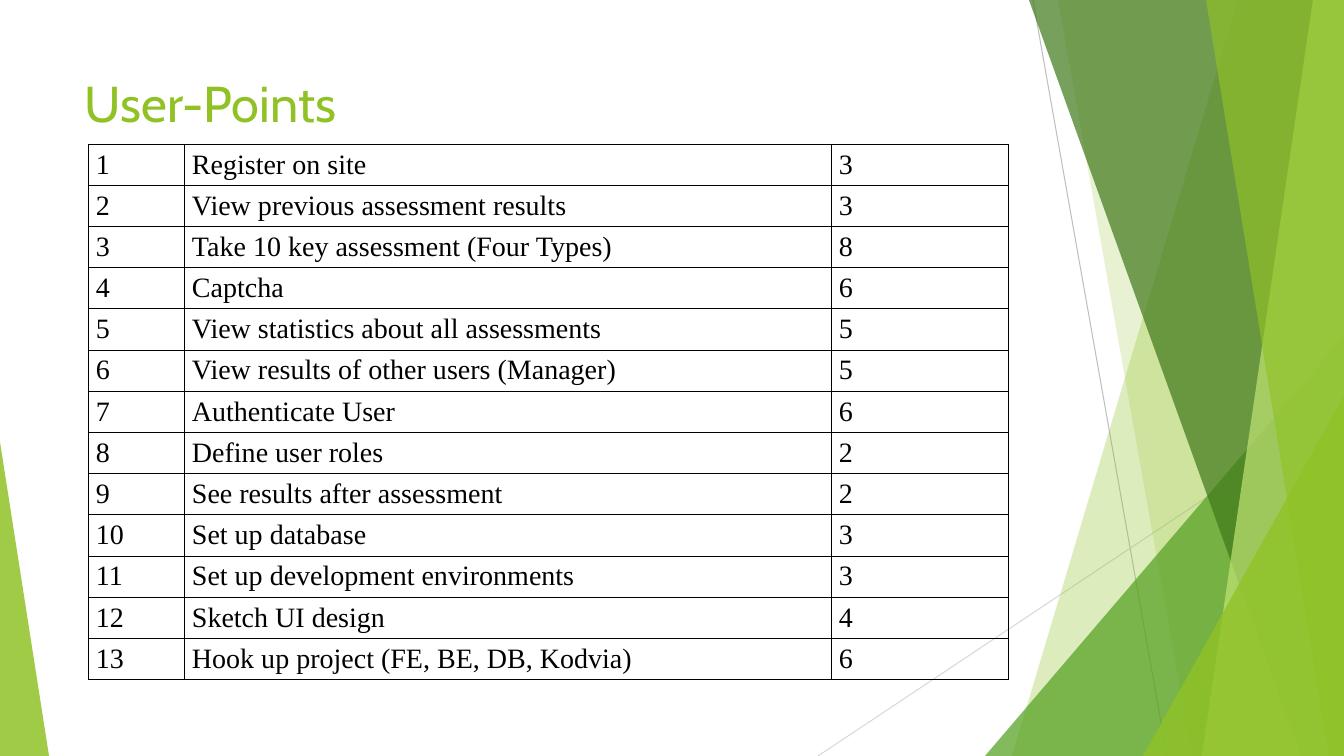
from dataclasses import dataclass

from lxml.etree import SubElement
from pptx import Presentation
from pptx.dml.color import RGBColor
from pptx.enum.shapes import MSO_CONNECTOR, MSO_SHAPE
from pptx.enum.text import MSO_ANCHOR
from pptx.oxml import parse_xml
from pptx.oxml.ns import nsdecls, qn
from pptx.util import Pt

PX = 12192000 / 1344  # EMU in one px
W, H = 1344, 756


@dataclass(frozen=True)
class Theme:
    accent: str = "90C226"
    leaf: str = "54A021"
    forest: str = "3F7819"
    lime: str = "C0E474"
    rule: str = "BFBFBF"
    pale_rule: str = "D9D9D9"
    ink: str = "000000"
    title_font: str = "Cabin"
    table_font: str = "Times New Roman"
    title_size: int = 36
    table_size: int = 20
    rule_width: float = 0.75
    border_width: float = 0.5


THEME = Theme()

USER_POINTS = [
    ("Register on site", 3),
    ("View previous assessment results", 3),
    ("Take 10 key assessment (Four Types)", 8),
    ("Captcha", 6),
    ("View statistics about all assessments", 5),
    ("View results of other users (Manager)", 5),
    ("Authenticate User", 6),
    ("Define user roles", 2),
    ("See results after assessment", 2),
    ("Set up database", 3),
    ("Set up development environments", 3),
    ("Sketch UI design", 4),
    ("Hook up project (FE, BE, DB, Kodvia)", 6),
]


def px(*lengths):
    return [round(n * PX) for n in lengths]


def set_format(target, **values):
    for name, value in values.items():
        setattr(target, name, value)


def write(tf, text, font, size, color):
    r = tf.paragraphs[0].add_run()
    r.text = text
    set_format(r.font, name=font, size=Pt(size))
    r.font.color.rgb = RGBColor.from_string(color)


def paint(sp, color, opacity):
    """Flat fill with opacity in percent, no outline or shadow."""
    sp.shadow.inherit = False
    sp.line.fill.background()
    sp.fill.solid()
    sp.fill.fore_color.rgb = RGBColor.from_string(color)
    clr = sp._element.spPr.find(qn("a:solidFill")).find(qn("a:srgbClr"))
    SubElement(clr, qn("a:alpha"), val=str(opacity * 1000))


def add_rule(s, start, end, color):
    line = s.shapes.add_connector(MSO_CONNECTOR.STRAIGHT, *px(*start, *end))
    line.line.color.rgb = RGBColor.from_string(color)
    line.line.width = Pt(THEME.rule_width)
    SubElement(line._element.spPr, qn("a:effectLst"))


def add_band(s, box, top_x, bottom_x, color, opacity):
    """Band from a slanted left edge to the right side of the box."""
    left, top, width, height = box
    right, bottom = left + width, top + height
    fb = s.shapes.build_freeform(left + top_x, top, scale=PX)
    fb.add_line_segments(
        [(right, top), (right, bottom), (left + bottom_x, bottom)], close=True)
    paint(fb.convert_to_shape(), color, opacity)


def add_wedge(s, box, apex, color, opacity):
    sp = s.shapes.add_shape(MSO_SHAPE.ISOSCELES_TRIANGLE, *px(*box))
    sp.adjustments[0] = apex
    paint(sp, color, opacity)


def add_facets(s, box):
    """Overlapping green facets on the right, from back to front."""
    left, top, width, height = box
    right, bottom = left + width, top + height

    def corner(w, h):
        return right - w, bottom - h, w, h

    add_rule(s, (left + 48, top), (left + 182, bottom), THEME.rule)
    add_rule(s, (right, top + 406), (left - 167, bottom), THEME.pale_rule)
    add_band(s, box, 253, 27, THEME.accent, 30)
    add_band(s, box, 73, 207, THEME.accent, 20)
    add_wedge(s, corner(359, 420), 1, THEME.leaf, 72)
    add_band(s, box, 44, 316, THEME.forest, 70)
    add_band(s, box, 328, 217, THEME.lime, 70)
    add_band(s, box, 221, 344, THEME.accent, 65)
    add_wedge(s, corner(201, 360), 1, THEME.accent, 80)


def add_title(s, box, text):
    tf = s.shapes.add_textbox(*px(*box)).text_frame
    set_format(tf, word_wrap=True, vertical_anchor=MSO_ANCHOR.TOP)
    write(tf, text, THEME.title_font, THEME.title_size, THEME.accent)


def set_borders(cell):
    tc_pr = cell._tc.get_or_add_tcPr()
    for i, side in enumerate("LRTB"):
        tc_pr.insert(i, parse_xml(
            f'<a:ln{side} {nsdecls("a")} w="{Pt(THEME.border_width)}">'
            f'<a:solidFill><a:srgbClr val="{THEME.ink}"/></a:solidFill>'
            f'</a:ln{side}>'))


def add_points_table(s, box, items):
    left, top, width, height = box
    number_w, points_w = 96, 177
    widths = px(number_w, width - number_w - points_w, points_w)
    table = s.shapes.add_table(len(items), len(widths), *px(*box)).table
    set_format(table, first_row=False, horz_banding=False)
    for col, col_w in zip(table.columns, widths):
        col.width = col_w
    side, above, below = px(8, 5, 2)
    margins = dict(margin_left=side, margin_right=side,
                   margin_top=above, margin_bottom=below)
    for number, (row, (story, points)) in enumerate(zip(table.rows, items), 1):
        row.height = px(height / len(items))[0]
        for cell, value in zip(row.cells, (number, story, points)):
            set_format(cell, **margins)
            cell.fill.background()
            set_borders(cell)
            write(cell.text_frame, str(value), THEME.table_font,
                  THEME.table_size, THEME.ink)


def build_points_slide(prs):
    s = prs.slides.add_slide(prs.slide_layouts[6])
    # Background decoration
    add_facets(s, (985, 0, W - 985, H))
    add_wedge(s, (0, 442, 49, H - 442), 0, THEME.accent, 85)
    # Heading and table
    add_title(s, (75, 67, 948, 93), "User-Points")
    add_points_table(s, (88, 144, 920, 536), USER_POINTS)


def main():
    prs = Presentation()
    prs.slide_width, prs.slide_height = px(W, H)
    build_points_slide(prs)
    prs.save("out.pptx")


if __name__ == "__main__":
    main()
